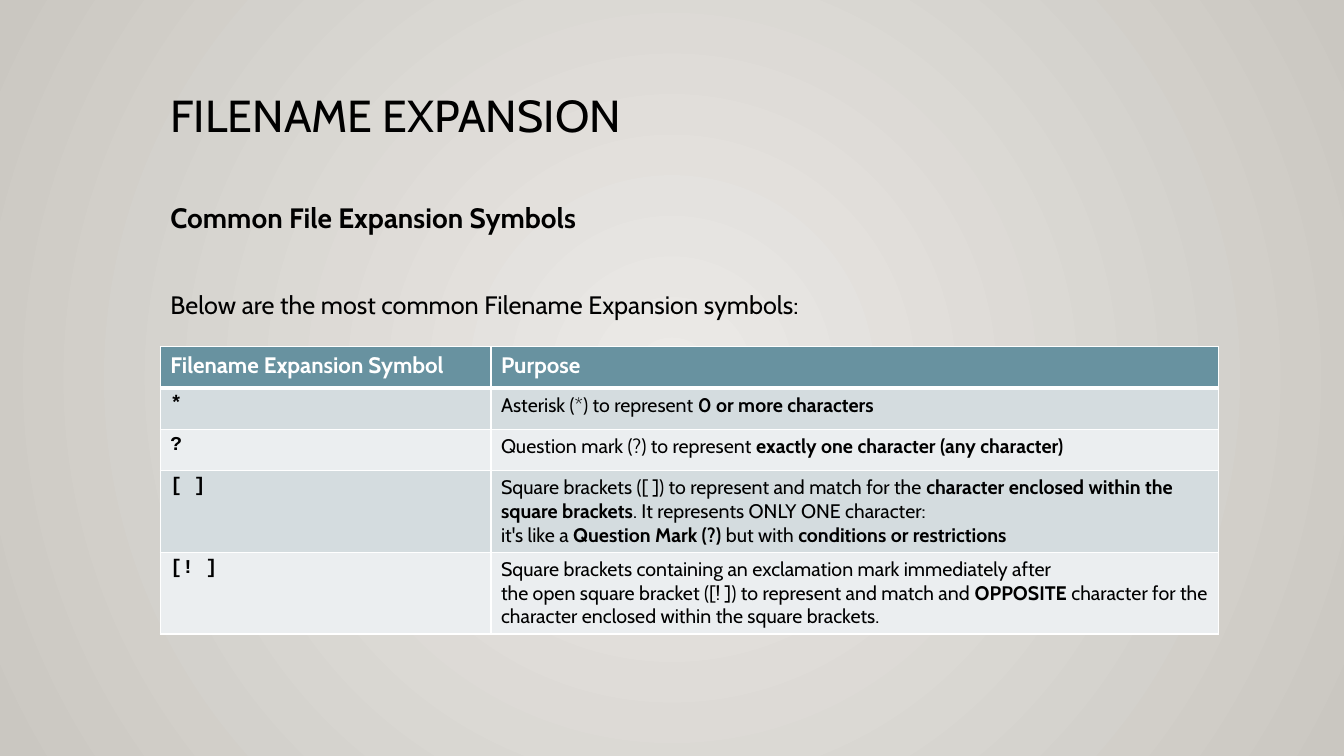
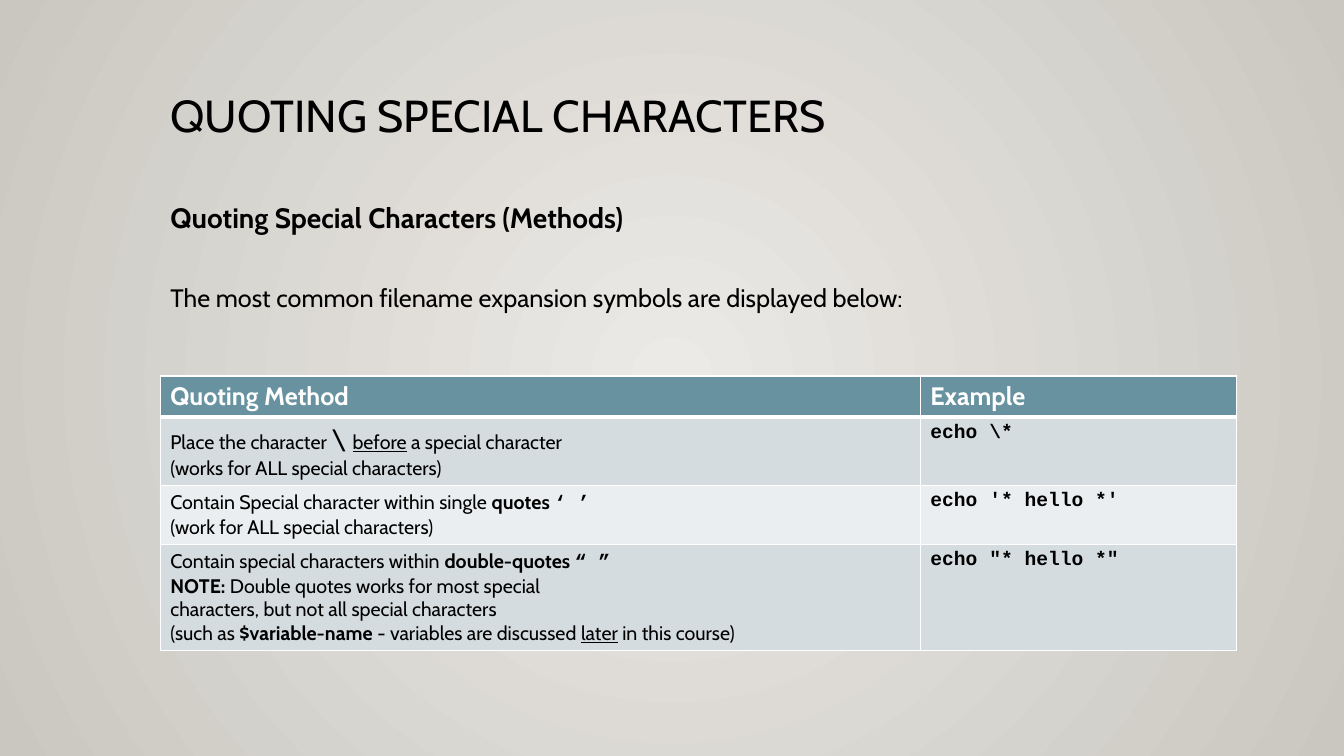
from dataclasses import dataclass, replace

from lxml import etree
from pptx import Presentation
from pptx.dml.color import RGBColor
from pptx.enum.text import MSO_ANCHOR, MSO_AUTO_SIZE, PP_ALIGN
from pptx.oxml.ns import qn
from pptx.util import Pt

TOP = MSO_ANCHOR.TOP
NO_FIT = MSO_AUTO_SIZE.NONE
LEFT = PP_ALIGN.LEFT


@dataclass(frozen=True)
class Style:
    size: float
    bold: bool = False
    underline: bool = False
    font: str = "Cabin"
    color: str = "000000"


@dataclass(frozen=True)
class Theme:
    glow: str = "ECEAE7"
    edge: str = "CAC7C1"
    header_fill: str = "6892A0"
    bands: tuple = ("D4DCDF", "EBEEF0")
    border: str = "FFFFFF"
    title: Style = Style(32)
    heading: Style = Style(20, bold=True)
    intro: Style = Style(18)
    header: Style = Style(16, bold=True, color="FFFFFF")
    plain: Style = Style(14)
    strong: Style = Style(14, bold=True)
    underlined: Style = Style(14, underline=True)
    code: Style = Style(14, bold=True, font="Courier New")
    symbol: Style = Style(20)


THEME = Theme()
PLAIN, STRONG, UNDERLINED, CODE = THEME.plain, THEME.strong, THEME.underlined, THEME.code
MARGIN = 114.5
ROW_HEIGHT = 29.5


class Deck:
    def __init__(self, theme):
        self.theme = theme
        self.prs = Presentation()
        self.prs.slide_width, self.prs.slide_height = Pt(960), Pt(540)
        self.slide = None
        self.paint_background()

    def paint_background(self):
        master = self.prs.slide_master
        fill = master.background.fill
        fill.gradient()
        colors = (self.theme.glow, self.theme.edge)
        for stop, position, color in zip(fill.gradient_stops, (0, 1), colors):
            stop.position = position
            stop.color.rgb = RGBColor.from_string(color)
        gradient = master.element.find(".//" + qn("p:bgPr")).find(qn("a:gradFill"))
        gradient.remove(gradient.find(qn("a:lin")))
        circle = etree.SubElement(gradient, qn("a:path"), {"path": "circle"})
        sides = dict.fromkeys("ltrb", "50000")
        etree.SubElement(circle, qn("a:fillToRect"), sides)

    def add_slide(self, title):
        self.slide = self.prs.slides.add_slide(self.prs.slide_layouts[1])
        frame = self.place(self.slide.shapes.title, 63.4, 756, 82.8)
        self.add_runs(frame.paragraphs[0], [(title, self.theme.title)], spacing=0.9)

    def place(self, holder, top, width, height):
        holder.left, holder.top = Pt(MARGIN), Pt(top)
        holder.width, holder.height = Pt(width), Pt(height)
        frame = holder.text_frame
        frame.vertical_anchor = TOP
        frame.auto_size = NO_FIT
        return frame

    def add_runs(self, paragraph, runs, spacing=None, before=0):
        paragraph.alignment = LEFT
        paragraph.space_before = Pt(before)
        if spacing:
            paragraph.line_spacing = spacing
        for text, style in runs:
            for number, line in enumerate(text.split("\n")):
                if number:
                    paragraph.add_line_break()
                if line:
                    self.add_run(paragraph, line, style)

    def add_run(self, paragraph, text, style):
        run = paragraph.add_run()
        run.text = text
        run.font.name = style.font
        run.font.size = Pt(style.size)
        run.font.bold = style.bold
        run.font.underline = style.underline
        run.font.color.rgb = RGBColor.from_string(style.color)

    def add_body(self, heading, intro, width, gap):
        frame = self.place(self.slide.placeholders[1], 134.6, width, 374.4)
        lines = (
            (frame.paragraphs[0], heading, self.theme.heading, 10),
            (frame.add_paragraph(), intro, self.theme.intro, gap),
        )
        for paragraph, text, style, before in lines:
            self.add_runs(paragraph, [(text, style)], 1.2, before)
            properties = paragraph._p.get_or_add_pPr()
            properties.set("marL", "0")
            properties.set("indent", "0")
            etree.SubElement(properties, qn("a:buNone"))

    def add_table(self, top, widths, headings, rows, header_size):
        header = replace(self.theme.header, size=header_size)
        content = [[[(text, header)] for text in headings], *rows]
        table = self.slide.shapes.add_table(
            len(content), len(widths), Pt(MARGIN), Pt(top),
            Pt(sum(widths)), Pt(ROW_HEIGHT * len(content)),
        ).table
        table.horz_banding = False
        for column, width in zip(table.columns, widths):
            column.width = Pt(width)
        for row, cells in enumerate(content):
            fill = self.theme.bands[(row - 1) % 2] if row else self.theme.header_fill
            for column, runs in enumerate(cells):
                cell = table.cell(row, column)
                cell.fill.solid()
                cell.fill.fore_color.rgb = RGBColor.from_string(fill)
                self.add_runs(cell.text_frame.paragraphs[0], runs)
                self.add_borders(cell, 3 if row == 1 else 1, 1 if row else 3)

    def add_borders(self, cell, top, bottom):
        properties = cell._tc.get_or_add_tcPr()
        edges = (("L", 1), ("R", 1), ("T", top), ("B", bottom))
        for index, (edge, width) in enumerate(edges):
            line = etree.Element(qn("a:ln" + edge), w=str(int(Pt(width))))
            solid = etree.SubElement(line, qn("a:solidFill"))
            etree.SubElement(solid, qn("a:srgbClr"), val=self.theme.border)
            properties.insert(index, line)


def add_expansion_slide(deck):
    deck.add_slide("FILENAME EXPANSION")
    deck.add_body(
        "Common File Expansion Symbols",
        "Below are the most common Filename Expansion symbols:",
        width=731.5, gap=35,
    )
    purposes = (
        ("*", [("Asterisk (*) to represent ", PLAIN), ("0 or more characters", STRONG)]),
        ("?", [
            ("Question mark (?) to represent ", PLAIN),
            ("exactly one character (any character)", STRONG),
        ]),
        ("[ ]", [
            ("Square brackets ([ ]) to represent and match for the ", PLAIN),
            ("character enclosed within the square brackets", STRONG),
            (". It represents ONLY ONE character:\nit's like a ", PLAIN),
            ("Question Mark (?)", STRONG),
            (" but with ", PLAIN),
            ("conditions or restrictions", STRONG),
        ]),
        ("[! ]", [
            ("Square brackets containing an exclamation mark immediately after\n"
             "the open square bracket ([! ]) to represent and match and ", PLAIN),
            ("OPPOSITE", STRONG),
            (" character for the character enclosed within the square brackets.", PLAIN),
        ]),
    )
    rows = [([(symbol, CODE)], purpose) for symbol, purpose in purposes]
    deck.add_table(
        247.7, (236.2, 519.8), ("Filename Expansion Symbol", "Purpose"), rows, header_size=16
    )


def add_quoting_slide(deck):
    deck.add_slide("QUOTING SPECIAL CHARACTERS")
    deck.add_body(
        "Quoting Special Characters (Methods)",
        "The most common filename expansion symbols are displayed below:",
        width=619.2, gap=30,
    )
    methods = (
        ([
            ("Place the character ", PLAIN),
            (r"\ ", THEME.symbol),
            ("before", UNDERLINED),
            (" a special character\n(works for ALL special characters)", PLAIN),
        ], r"echo \*"),
        ([
            ("Contain Special character within single ", PLAIN),
            ("quotes ", STRONG),
            ("‘ ’\n", CODE),
            ("(work for ALL special characters)", PLAIN),
        ], "echo '* hello *'"),
        ([
            ("Contain special characters within ", PLAIN),
            ("double-quotes ", STRONG),
            ("“ ”\n", CODE),
            ("NOTE:", STRONG),
            (" Double quotes works for most special\n"
             "characters, but not all special characters\n(such as ", PLAIN),
            ("$variable-name ", STRONG),
            ("- variables are discussed ", PLAIN),
            ("later", UNDERLINED),
            (" in this course)", PLAIN),
        ], 'echo "* hello *"'),
    )
    rows = [(method, [(example, CODE)]) for method, example in methods]
    deck.add_table(
        268.6, (542.9, 226.1), ("Quoting Method", "Example"), rows, header_size=18
    )


def main():
    deck = Deck(THEME)
    add_expansion_slide(deck)
    add_quoting_slide(deck)
    deck.prs.save("out.pptx")


if __name__ == "__main__":
    main()
